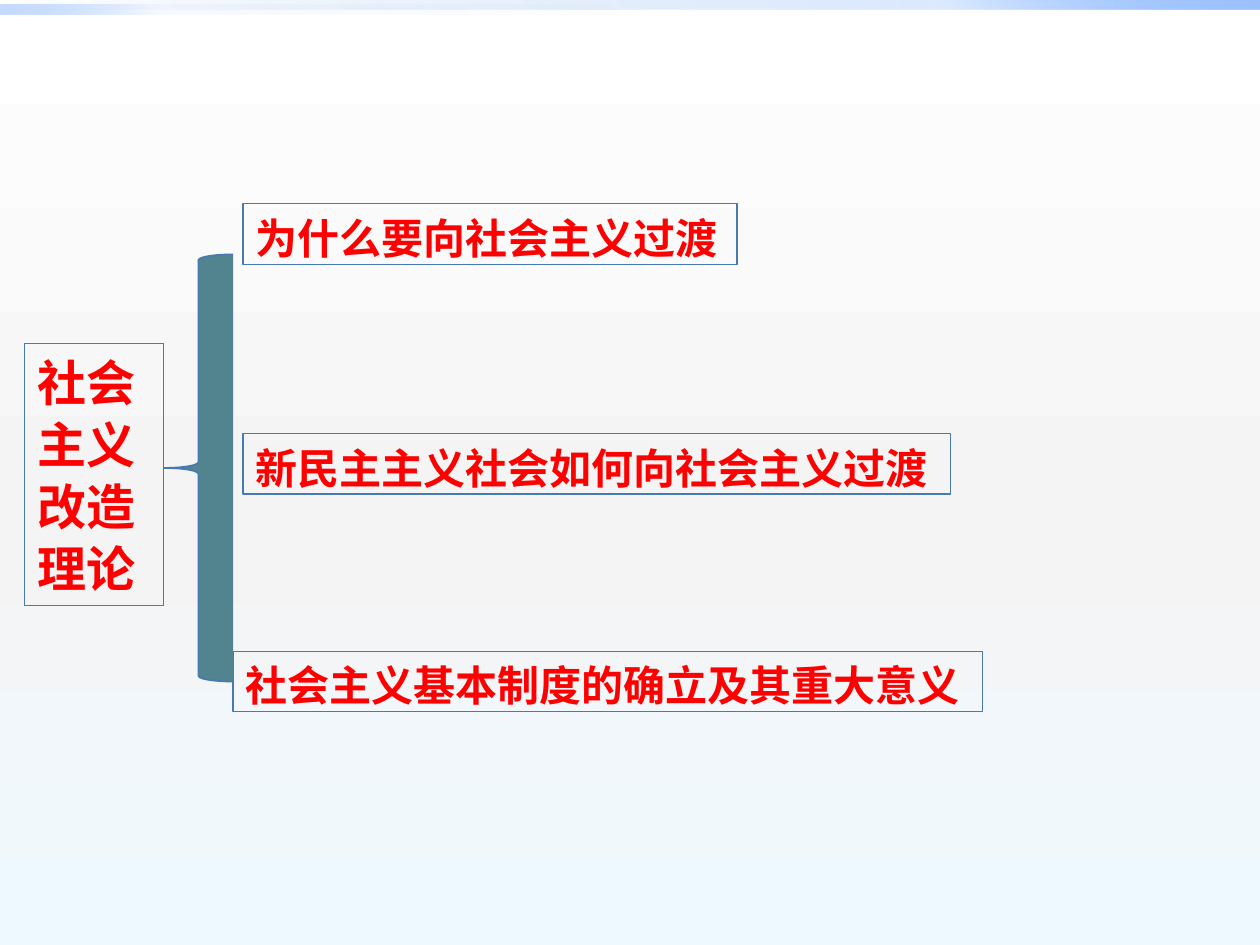
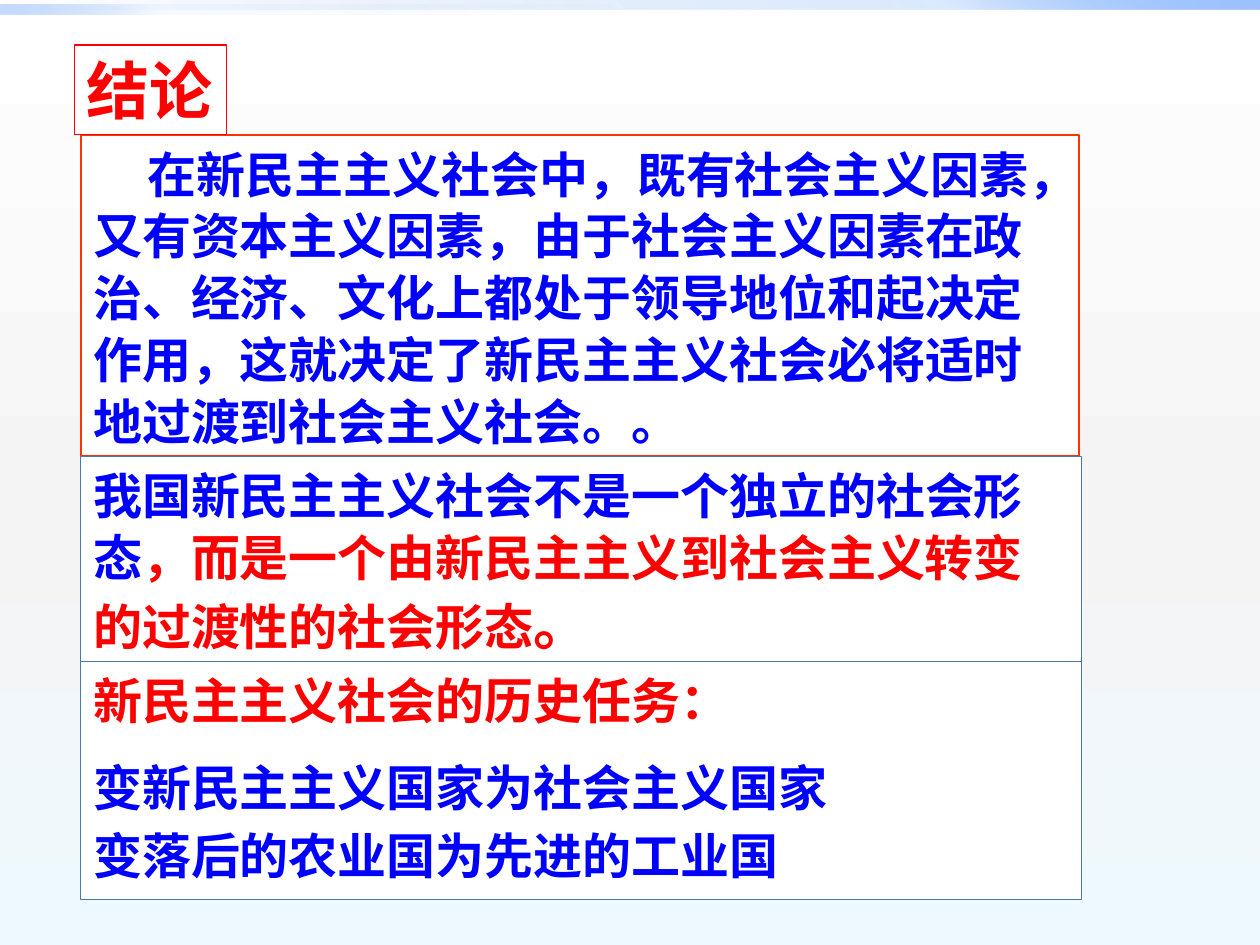
from lxml import etree
from pptx import Presentation
from pptx.dml.color import RGBColor
from pptx.enum.shapes import MSO_SHAPE
from pptx.enum.text import MSO_ANCHOR, MSO_AUTO_SIZE, PP_ALIGN
from pptx.oxml.ns import qn
from pptx.util import Cm, Pt

RECTANGLE = MSO_SHAPE.RECTANGLE
LEFT_BRACE = MSO_SHAPE.LEFT_BRACE
TOP = MSO_ANCHOR.TOP
LEFT = PP_ALIGN.LEFT
FIT_SHAPE = MSO_AUTO_SIZE.SHAPE_TO_FIT_TEXT

RED, BLUE, WHITE = "FF0000", "0000FF", "FFFFFF"
ORANGE, STEEL, TEAL = "FF3300", "477AB1", "51848E"
FONT, TITLE_FONT, STOP_FONT = "Noto Sans CJK SC", "Noto Sans CJK JP", "Times New Roman"
BODY_SIZE, TOPIC_SIZE, TITLE_SIZE = 28, 24, 36
LINE_SPACING = 1.05

# Gradient stops: position, colour, opacity in percent
BACKGROUND = [(0, "FFFFFF", 100), (55, "F4F4F4", 100), (100, "EEF9FF", 100)]
WIDE_BAND = [(0, "0058B7", 0), (75, "4F95FF", 20), (100, "9EC2FF", 100)]
HALF_BAND = [(0, "0058B7", 0), (75, "4F95FF", 5), (100, "9EC2FF", 60)]


def colour(hex_string):
    return RGBColor.from_string(hex_string)


def set_gradient(fill, owner, stops, angle):
    """Fill with the stops; the angle runs counter-clockwise."""
    fill.gradient()
    fill.gradient_angle = angle
    stop_list = next(owner.iter(qn("a:gsLst")))
    for old_stop in list(stop_list):
        stop_list.remove(old_stop)
    for position, hex_string, opacity in stops:
        stop = etree.SubElement(stop_list, qn("a:gs"), pos=str(position * 1000))
        shade = etree.SubElement(stop, qn("a:srgbClr"), val=hex_string)
        if opacity < 100:
            etree.SubElement(shade, qn("a:alpha"), val=str(opacity * 1000))


def add_shape(page, kind, place, fill=None, line=None, line_width=0.75):
    shape = page.shapes.add_shape(kind, *(Cm(length) for length in place))
    shape.shadow.inherit = False
    if fill:
        shape.fill.solid()
        shape.fill.fore_color.rgb = colour(fill)
    else:
        shape.fill.background()
    if line:
        shape.line.color.rgb = colour(line)
        shape.line.width = Pt(line_width)
    else:
        shape.line.fill.background()
    return shape


def add_box(page, place, fill=None, line=STEEL, line_width=0.75, wrap=True):
    box = add_shape(page, RECTANGLE, place, fill, line, line_width)
    frame = box.text_frame
    frame.word_wrap = wrap
    frame.auto_size = FIT_SHAPE
    frame.vertical_anchor = TOP
    return frame


def style_paragraph(para, size, hex_string, name=FONT, spacing=LINE_SPACING, before=0):
    para.alignment = LEFT
    para.line_spacing = spacing
    para.space_before = Pt(before)
    para.font.size = Pt(size)
    para.font.bold = True
    para.font.color.rgb = colour(hex_string)
    para.font.name = name
    defaults = para._p.pPr.find(qn("a:defRPr"))
    etree.SubElement(defaults, qn("a:ea"), typeface=name)


def add_label(page, text, place, size, hex_string=RED, name=FONT,
              spacing=LINE_SPACING, **box_style):
    """Add a box holding a single evenly styled paragraph."""
    para = add_box(page, place, **box_style).paragraphs[0]
    para.text = text
    style_paragraph(para, size, hex_string, name, spacing)
    return para


def add_page(deck):
    """Add a blank page with the shared background and top bands."""
    page = deck.slides.add_slide(deck.slide_layouts[6])
    set_gradient(page.background.fill, page._element, BACKGROUND, 270)
    for place, stops, angle in [((0, 0, 25.4, 0.2), WIDE_BAND, 45),
                                ((0, 0.1, 12.7, 0.2), HALF_BAND, 225)]:
        band = add_shape(page, RECTANGLE, place)
        set_gradient(band.fill, band._element, stops, angle)
    return page


def add_outline_page(deck):
    page = add_page(deck)
    add_label(page, "社会主义改造理论", (0.5, 6.93, 2.8, 5.28), BODY_SIZE)
    topics = [
        ("为什么要向社会主义过渡", 4.9, 4.11, 9.96),
        ("新民主主义社会如何向社会主义过渡", 4.9, 8.74, 14.27),
        ("社会主义基本制度的确立及其重大意义", 4.7, 13.13, 15.11),
    ]
    for text, left, top, width in topics:
        add_label(page, text, (left, top, width, 1.22), TOPIC_SIZE, wrap=False)
    add_shape(page, LEFT_BRACE, (3.3, 5.13, 1.4, 8.61), TEAL, STEEL, 1)


def add_conclusion_page(deck):
    page = add_page(deck)
    argument = add_label(
        page,
        "在新民主主义社会中，既有社会主义因素，又有资本主义因素，由于社会主义因素在政治、"
        "经济、文化上都处于领导地位和起决定作用，这就决定了新民主主义社会必将适时地过渡到"
        "社会主义社会。。",
        (1.63, 2.72, 20.12, 6.48), BODY_SIZE, BLUE,
        fill=WHITE, line=ORANGE, line_width=1)
    argument._p.pPr.set("indent", str(Cm(1.1)))

    add_label(page, "结论", (1.5, 0.91, 3.07, 1.8), TITLE_SIZE, name=TITLE_FONT,
              spacing=1, fill=WHITE, line=RED, wrap=False)

    nature = add_box(page, (1.63, 9.2, 20.17, 4.22), WHITE).paragraphs[0]
    style_paragraph(nature, BODY_SIZE, RED)
    subject = nature.add_run()
    subject.text = "我国新民主主义社会不是一个独立的社会形态"
    subject.font.color.rgb = colour(BLUE)
    nature.add_run().text = "，而是一个由新民主主义到社会主义转变的过渡性的社会形态"
    full_stop = nature.add_run()
    full_stop.text = "。"
    full_stop.font.size = Pt(32)
    full_stop.font.name = STOP_FONT

    tasks = add_box(page, (1.63, 13.34, 20.17, 4.8), WHITE)
    lines = [
        ("新民主主义社会的历史任务：", RED, LINE_SPACING, 0),
        ("变新民主主义国家为社会主义国家", BLUE, LINE_SPACING, 14),
        ("变落后的农业国为先进的工业国", BLUE, 1, 5.6),
    ]
    for number, (text, hex_string, spacing, before) in enumerate(lines):
        para = tasks.add_paragraph() if number else tasks.paragraphs[0]
        para.text = text
        style_paragraph(para, BODY_SIZE, hex_string, spacing=spacing, before=before)


def main():
    deck = Presentation()
    deck.slide_width, deck.slide_height = Cm(25.4), Cm(19.05)
    add_outline_page(deck)
    add_conclusion_page(deck)
    deck.save("out.pptx")


if __name__ == "__main__":
    main()
